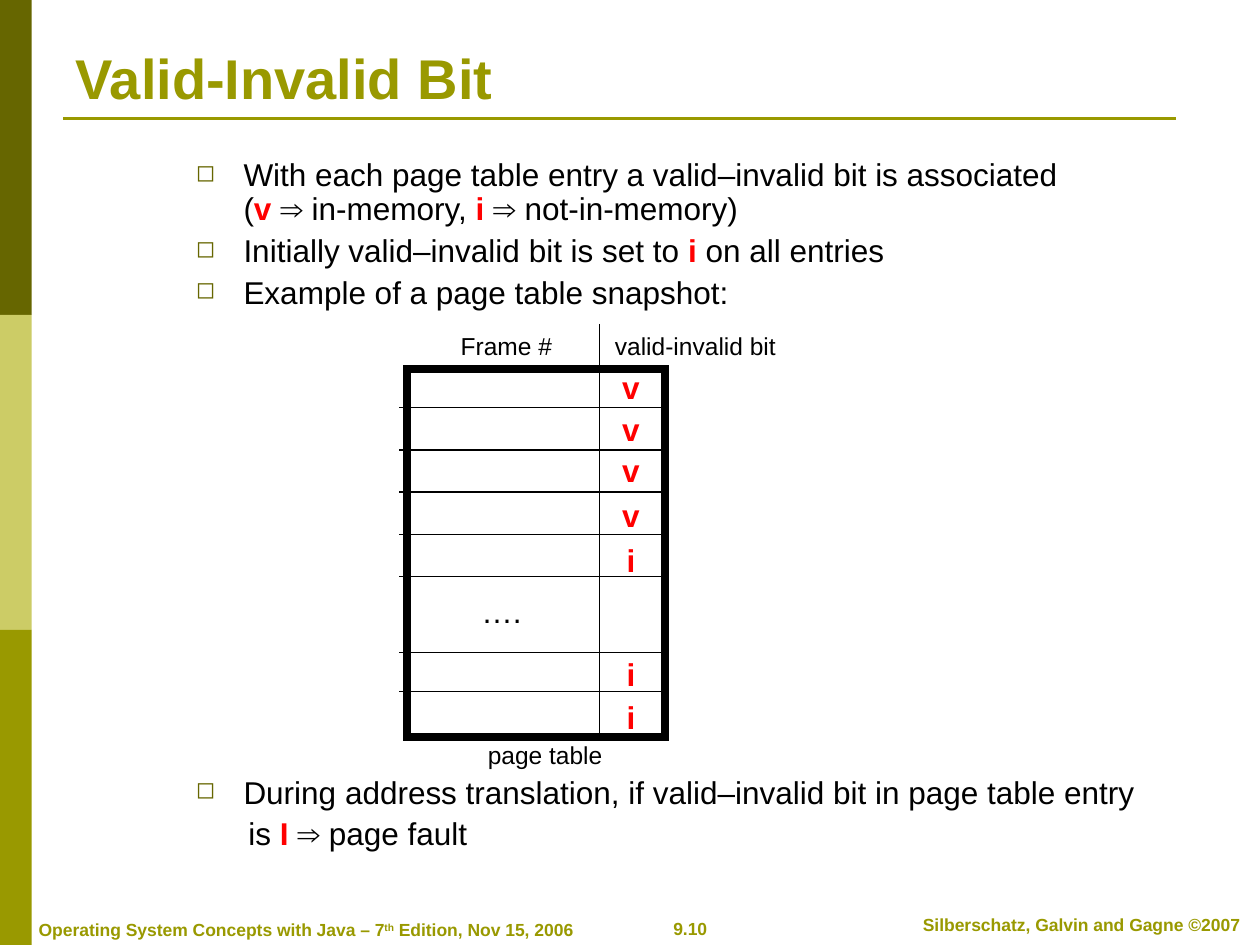
from lxml import etree
from pptx import Presentation
from pptx.dml.color import RGBColor
from pptx.enum.shapes import MSO_CONNECTOR, MSO_SHAPE
from pptx.enum.text import MSO_ANCHOR, MSO_AUTO_SIZE, PP_ALIGN
from pptx.oxml.ns import qn
from pptx.util import Cm, Pt

STRAIGHT = MSO_CONNECTOR.STRAIGHT
RECTANGLE = MSO_SHAPE.RECTANGLE
LEFT, CENTER = PP_ALIGN.LEFT, PP_ALIGN.CENTER
TOP, MIDDLE, BOTTOM = MSO_ANCHOR.TOP, MSO_ANCHOR.MIDDLE, MSO_ANCHOR.BOTTOM
NO_AUTOFIT = MSO_AUTO_SIZE.NONE

FONT = "Arial"
COLORS = {
    "dark olive": "666600",
    "light olive": "CCCC66",
    "olive": "999900",
    "red": "FF0000",
    "black": "000000",
    "white": "FFFFFF",
}
ROW_PITCH = 0.85
ROW_LINES = [8.22 + ROW_PITCH * row for row in range(5)] + [13.16, 13.94]
BITS = [("v", 7.29), ("v", 8.13), ("v", 8.97), ("v", 9.88),
        ("i", 10.77), ("i", 13.08), ("i", 13.94)]
BULLETS = [
    ([("With each page table entry a valid–invalid bit is associated", {}), ("\n", {}),
      ("(", {}), ("v ", {"key": True}), ("⇒ in-memory, ", {}),
      ("i ", {"key": True}), ("⇒ not-in-memory)", {})], 0, True),
    ([("Initially valid–invalid bit is set to", {}), (" i ", {"key": True}),
      ("on all entries", {})], 4.5, True),
    ([("Example of a page table snapshot:", {})], 4.5, True),
    ([("During address translation, if valid–invalid bit in page table entry", {})],
     266, True),
    ([("is", {}), (" I ", {"key": True}), ("⇒ page fault", {})], 4.5, False),
]


def rgb(name):
    """Return the named colour."""
    return RGBColor.from_string(COLORS[name])


def add_span(para, text, size=18, color="black", bold=False, raised=False):
    """Add formatted text, or a line break, to a paragraph."""
    if text == "\n":
        para.add_line_break()
        return
    span = para.add_run()
    span.text = text
    span.font.name = FONT
    span.font.size = Pt(size)
    span.font.bold = bold
    span.font.color.rgb = rgb(color)
    if raised:
        span.font._element.set("baseline", "30000")


def add_label(page, text, left, top, width, height, anchor=MIDDLE, align=CENTER, **style):
    """Add a one-line text box and return its paragraph."""
    box = page.shapes.add_textbox(Cm(left), Cm(top), Cm(width), Cm(height))
    box.text_frame.word_wrap = False
    box.text_frame.vertical_anchor = anchor
    para = box.text_frame.paragraphs[0]
    para.alignment = align
    add_span(para, text, **style)
    return para


def add_rectangle(page, left, top, width, height, fill, border=None):
    """Add a flat rectangle, with a sharp black border of the given points if any."""
    box = page.shapes.add_shape(RECTANGLE, Cm(left), Cm(top), Cm(width), Cm(height))
    box.shadow.inherit = False
    box.fill.solid()
    box.fill.fore_color.rgb = rgb(fill)
    if border:
        box.line.color.rgb = rgb("black")
        box.line.width = Pt(border)
        etree.SubElement(box._element.spPr.find(qn("a:ln")), qn("a:miter"), lim="800000")
    else:
        box.line.fill.background()


def add_line(page, start, end, color="black", width=0.75):
    """Add a straight line between two points."""
    line = page.shapes.add_connector(
        STRAIGHT, Cm(start[0]), Cm(start[1]), Cm(end[0]), Cm(end[1]))
    line.line.color.rgb = rgb(color)
    line.line.width = Pt(width)
    etree.SubElement(line._element.spPr, qn("a:effectLst"))


def set_bullet(para):
    """Give a paragraph a hanging square bullet."""
    settings = para._p.get_or_add_pPr()
    settings.set("marL", str(Cm(0.96)))
    settings.set("indent", str(-Cm(0.96)))
    color = etree.SubElement(settings, qn("a:buClr"))
    etree.SubElement(color, qn("a:srgbClr"), val=COLORS["dark olive"])
    etree.SubElement(settings, qn("a:buSzPct"), val="75000")
    etree.SubElement(settings, qn("a:buChar"), char="◻")


def set_title(page, text):
    """Place and format the slide title."""
    title = page.shapes.title
    title.left, title.top, title.width, title.height = Cm(1.27), Cm(0.76), Cm(22.86), Cm(1.6)
    title.text_frame.vertical_anchor = BOTTOM
    title.text_frame.auto_size = NO_AUTOFIT
    para = title.text_frame.paragraphs[0]
    para.alignment = LEFT
    add_span(para, text, size=32, color="olive", bold=True)


def add_body(page):
    """Add the bulleted text above and below the page table."""
    box = page.shapes.add_textbox(Cm(3.7), Cm(3.09), Cm(20.12), Cm(15.88))
    frame = box.text_frame
    frame.word_wrap = True
    for index, (spans, gap, bulleted) in enumerate(BULLETS):
        para = frame.add_paragraph() if index else frame.paragraphs[0]
        if bulleted:
            set_bullet(para)
        else:
            para._p.get_or_add_pPr().set("marL", str(Cm(1.06)))
        para.line_spacing = 0.9
        para.space_before = Pt(gap)
        for text, style in spans:
            key = style.get("key", False)
            add_span(para, text, color="red" if key else "black", bold=key)


def add_page_table(page):
    """Draw the page table with its bits and captions."""
    add_rectangle(page, 8.2, 7.44, 5.21, 7.42, "white", border=4.5)
    for height in ROW_LINES:
        add_line(page, (8.05, height), (13.36, height))
    add_line(page, (12.09, 6.53), (12.09, 14.78))
    for bit, top in BITS:
        add_label(page, bit, 12.29, top, 0.86, 1.02, color="red", bold=True)
    add_label(page, "….", 9.45, 11.81, 1.32, 1.02)
    add_label(page, "Frame #", 8.81, 6.53, 2.8, 0.86, size=14)
    add_label(page, "valid-invalid bit", 12.02, 6.53, 4, 0.86, size=14)
    add_label(page, "page table", 9.49, 14.78, 3, 0.86, size=14)


def add_frame(page):
    """Add the side band, the title rule and the footer."""
    for index, fill in enumerate(("dark olive", "light olive", "olive")):
        add_rectangle(page, 0, 6.35 * index, 0.64, 6.35, fill)
    add_line(page, (1.27, 2.39), (23.7, 2.39), color="olive", width=1.5)
    style = {"size": 10, "color": "olive", "bold": True}
    add_label(page, "9.10", 12.67, 18.38, 2.49, 0.69, anchor=TOP, **style)
    add_label(page, "Silberschatz, Galvin and Gagne ©2007",
              18.03, 18.3, 7.54, 0.69, anchor=TOP, **style)
    edition = add_label(page, "Operating System Concepts with Java – 7",
                        0.53, 18.4, 11.28, 0.69, anchor=TOP, align=LEFT, **style)
    add_span(edition, "th", raised=True, **style)
    add_span(edition, " Edition, Nov 15, 2006", **style)


def main():
    """Build and save the slide."""
    deck = Presentation()
    deck.slide_width, deck.slide_height = Cm(25.4), Cm(19.05)
    page = deck.slides.add_slide(deck.slide_layouts[5])
    add_frame(page)
    set_title(page, "Valid-Invalid Bit")
    add_body(page)
    add_page_table(page)
    deck.save("out.pptx")


if __name__ == "__main__":
    main()
